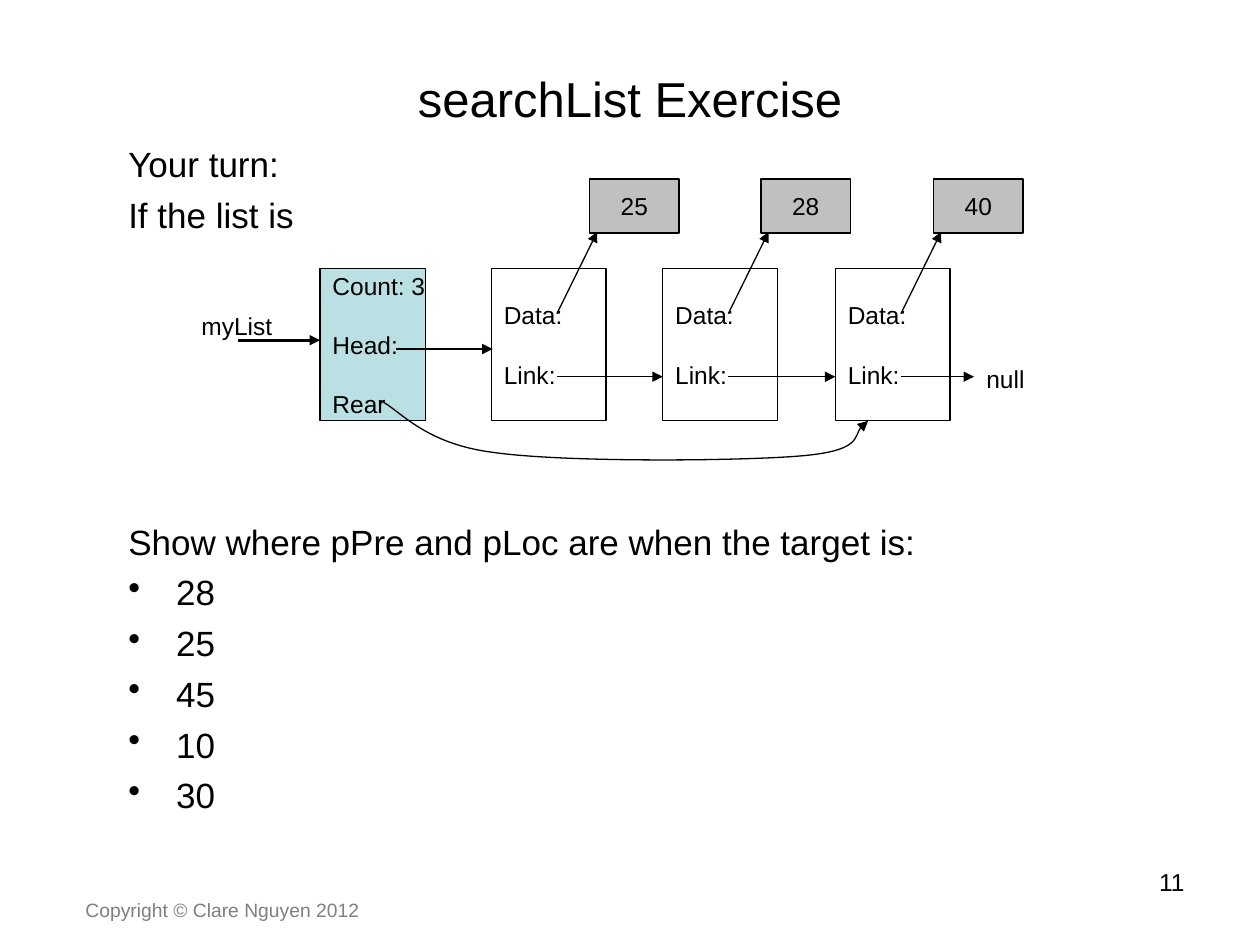
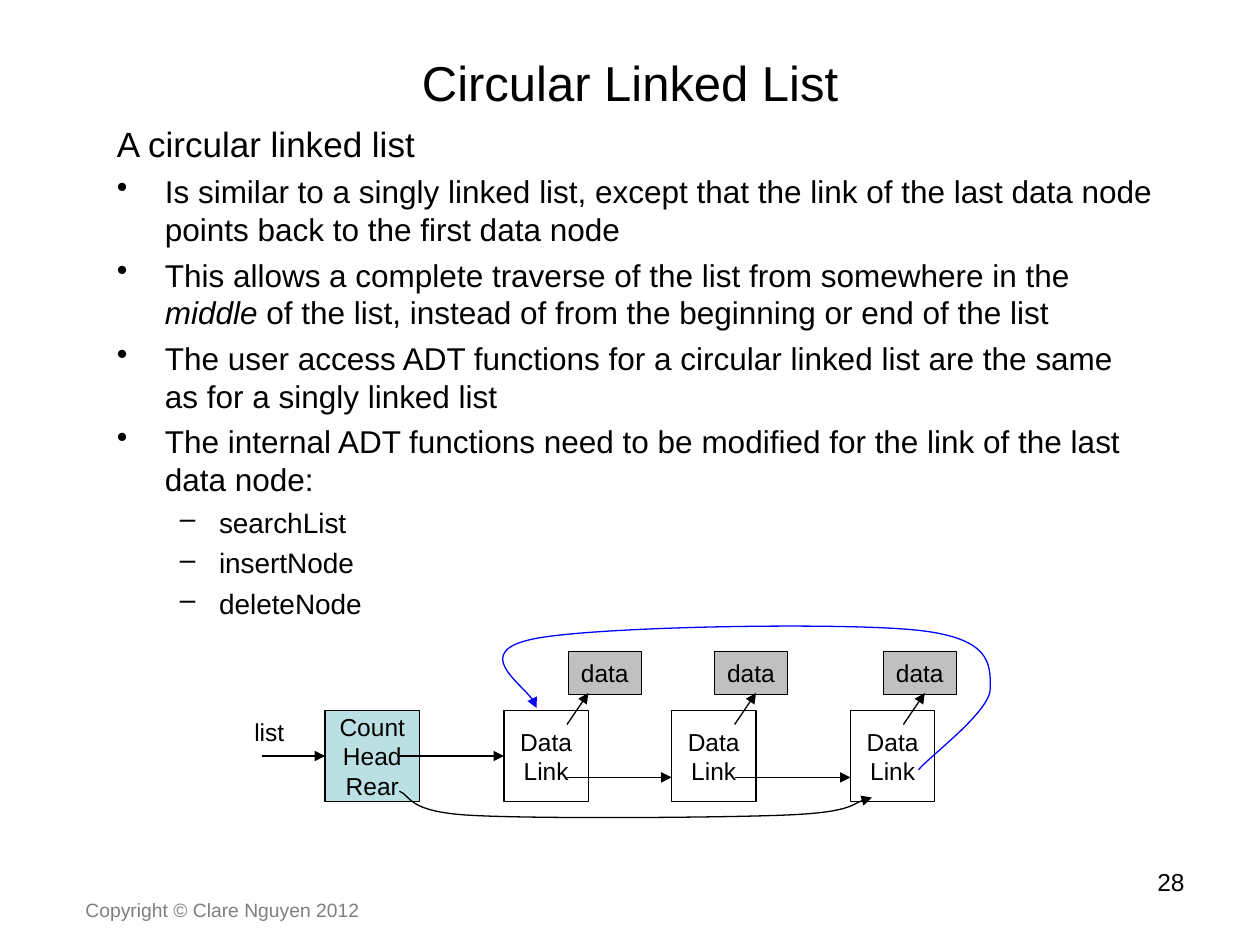
from lxml import etree
from pptx import Presentation
from pptx import util as u
from pptx.dml.color import RGBColor
from pptx.enum import shapes, text
from pptx.oxml.ns import qn

PX = 9144  # EMU per px, 100 px to the inch
BLACK = RGBColor(0x00, 0x00, 0x00)
BLUE = RGBColor(0x00, 0x00, 0xFF)
GREY = RGBColor(0x7F, 0x7F, 0x7F)
SILVER = RGBColor(0xC0, 0xC0, 0xC0)
AQUA = RGBColor(0xBB, 0xE0, 0xE3)

LEFT, CENTER, RIGHT = text.PP_ALIGN.LEFT, text.PP_ALIGN.CENTER, text.PP_ALIGN.RIGHT
TOP, MIDDLE = text.MSO_ANCHOR.TOP, text.MSO_ANCHOR.MIDDLE

# Kind of body line: size, space before, level, bullet, left margin, hanging indent
BODY_LINES = {
    "lead": (20, 5, 0, None, 0, 0),
    "large": (20, 5, 0, "•", 38, 38),
    "point": (18, 4.5, 0, "•", 38, 38),
    "dash": (16, 4, 1, "–", 81, 31),
}


def px(*lengths):
    return [u.Emu(length * PX) for length in lengths]


def style(target, values):
    for name, value in values.items():
        setattr(target, name, value)


class Page:
    """Style of the deck together with the slide being filled."""

    def __init__(self, deck, title, title_height, number):
        self.slide = deck.slides.add_slide(deck.slide_layouts[5])
        self.shapes = self.slide.shapes
        heading = self.shapes.title
        left, top, width, height = px(50, 30, 900, title_height)
        style(heading, dict(left=left, top=top, width=width, height=height))
        self.set_lines(heading, [title], size=28, align=CENTER, anchor=MIDDLE)
        self.label(717, 683, 233, 52, str(number), align=RIGHT)
        self.label(58, 708, 317, 19, "Copyright © Clare Nguyen 2012", size=11, color=GREY)

    def spans(self, para, words, size, color):
        """Fill a paragraph; words between asterisks are italic."""
        for index, piece in enumerate(words.split("*")):
            span = para.add_run()
            span.text = piece
            style(span.font, dict(name="Arial", size=u.Pt(size)))
            span.font.color.rgb = color
            if index % 2:
                span.font.italic = True

    def set_lines(self, box, lines, size=14, color=BLACK, align=LEFT, anchor=TOP,
                  wrap=True, gap=0):
        frame = box.text_frame
        style(frame, dict(word_wrap=wrap, vertical_anchor=anchor))
        for index, words in enumerate(lines):
            para = frame.add_paragraph() if index else frame.paragraphs[0]
            style(para, dict(alignment=align, space_before=u.Pt(gap if index else 0)))
            self.spans(para, words, size, color)

    def label(self, left, top, width, height, words, **format_values):
        box = self.shapes.add_textbox(*px(left, top, width, height))
        self.set_lines(box, [words], **format_values)

    def body(self, left, top, width, height, lines):
        box = self.shapes.add_textbox(*px(left, top, width, height))
        frame = box.text_frame
        frame.word_wrap = True
        for index, (kind, words) in enumerate(lines):
            size, space, level, bullet, margin, hanging = BODY_LINES[kind]
            para = frame.add_paragraph() if index else frame.paragraphs[0]
            style(para, dict(level=level, space_before=u.Pt(space if index else 0)))
            if bullet:
                props = para._p.get_or_add_pPr()
                props.set("marL", str(margin * PX))
                props.set("indent", str(-hanging * PX))
                etree.SubElement(props, qn("a:buChar"), char=bullet)
            self.spans(para, words, size, BLACK)

    def card(self, left, top, width, height, lines, fill=None, align=CENTER, gap=0):
        box = self.shapes.add_shape(shapes.MSO_SHAPE.RECTANGLE, *px(left, top, width, height))
        box.shadow.inherit = False
        if fill is None:
            box.fill.background()
        else:
            box.fill.solid()
            box.fill.fore_color.rgb = fill
        self.outline(box)
        self.set_lines(box, lines, align=align, anchor=MIDDLE, wrap=False, gap=gap)
        return box

    def outline(self, item, color=BLACK, weight=0.75, arrow=False):
        item.line.color.rgb = color
        item.line.width = u.Pt(weight)
        if arrow:
            etree.SubElement(item.element.spPr.find(qn("a:ln")), qn("a:tailEnd"), type="triangle")

    def arrow(self, start, end, weight=0.75, target=None):
        """Draw an arrow; a target is joined at the middle of its left side."""
        line = self.shapes.add_connector(shapes.MSO_CONNECTOR.STRAIGHT, *px(*start, *end))
        if target is not None:
            line.end_connect(target, 1)
        self.outline(line, weight=weight, arrow=True)
        etree.SubElement(line.element.spPr, qn("a:effectLst"))

    def curve(self, start, points, color=BLACK):
        """Draw a curved arrow; each three points make one Bezier segment."""
        builder = self.shapes.build_freeform(*start, scale=PX)
        builder.add_line_segments(points, close=False)
        shape = builder.convert_to_shape()
        shape.shadow.inherit = False
        shape.fill.background()
        self.outline(shape, color, arrow=True)
        segments = list(shape.element.iter(qn("a:lnTo")))
        outline = segments[0].getparent()
        for first in range(0, len(segments), 3):
            bend = etree.SubElement(outline, qn("a:cubicBezTo"))
            for segment in segments[first:first + 3]:
                bend.append(segment[0])
                outline.remove(segment)


def build_search_exercise(deck):
    page = Page(deck, "searchList Exercise", 95, 11)
    page.body(92, 108, 900, 75, [("lead", "Your turn:"), ("lead", "If the list is")])
    targets = ["28", "25", "45", "10", "30"]
    page.body(92, 408, 850, 250,
              [("lead", "Show where pPre and pLoc are when the target is:")]
              + [("large", target) for target in targets])

    page.card(254, 213, 84, 121, ["Count: 3", "Head:", "Rear"], AQUA, LEFT, gap=17)
    page.arrow((189, 270), (254, 270), weight=1.5)
    page.arrow((314, 277), (391, 277))
    node_lefts = [390 + index * 273 // 2 for index in range(3)]
    link_ends = node_lefts[1:] + [773]
    for left, link_end, value in zip(node_lefts, link_ends, ["25", "28", "40"]):
        page.card(left, 213, 91, 121, ["Data:", "Link:"], align=LEFT, gap=17)
        page.card(left + 78, 142, 71, 43, [value], SILVER)
        page.arrow((left + 52, 249), (left + 84, 184))
        page.arrow((left + 52, 299), (link_end, 299))
    page.label(773, 284, 52, 34, "null")
    page.label(150, 242, 91, 34, "myList")
    page.curve((302, 318), [(317, 325), (336, 352), (391, 359),
                            (446, 367), (584, 366), (634, 362),
                            (684, 358), (677, 340), (689, 334)])


def build_circular_list(deck):
    page = Page(deck, "Circular Linked List", 70, 28)
    page.body(83, 92, 842, 408, [
        ("lead", "A circular linked list"),
        ("point", "Is similar to a singly linked list, except that the link of the last "
                  "data node points back to the first data node"),
        ("point", "This allows a complete traverse of the list from somewhere in the "
                  "*middle* of the list, instead of from the beginning or end of the list"),
        ("point", "The user access ADT functions for a circular linked list are the same "
                  "as for a singly linked list"),
        ("point", "The internal ADT functions need to be modified for the link of the last "
                  "data node:"),
        ("dash", "searchList"),
        ("dash", "insertNode"),
        ("dash", "deleteNode"),
    ])

    header = page.card(258, 564, 75, 72, ["Count", "Head", "Rear"], AQUA)
    node_lefts = [400, 533, 675]
    nodes = [page.card(left, 564, 67, 72, ["Data", "Link"]) for left in node_lefts]
    page.label(192, 564, 44, 34, "list", wrap=False)
    page.arrow((208, 600), (258, 600), target=header)
    page.arrow((317, 600), (400, 600), target=nodes[0])
    for left, next_left in zip(node_lefts, node_lefts[1:]):
        page.arrow((left + 50, 617), (next_left, 617))
    page.curve((317, 628), [(326, 631), (322, 644), (372, 647),
                            (423, 650), (568, 649), (621, 647),
                            (674, 645), (680, 635), (692, 633)])
    page.curve((729, 611), [(738, 600), (787, 564), (786, 546),
                            (786, 527), (787, 506), (726, 500),
                            (666, 494), (474, 497), (424, 507),
                            (374, 517), (426, 551), (426, 562)], BLUE)
    for data_left, arrow_left in zip([451, 567, 701], [450, 583, 717]):
        page.card(data_left, 517, 58, 34, ["data"], SILVER)
        page.arrow((arrow_left, 575), (arrow_left + 17, 550))


def main():
    deck = Presentation()
    deck.slide_width, deck.slide_height = px(1000, 750)
    build_search_exercise(deck)
    build_circular_list(deck)
    deck.save("out.pptx")


if __name__ == "__main__":
    main()
